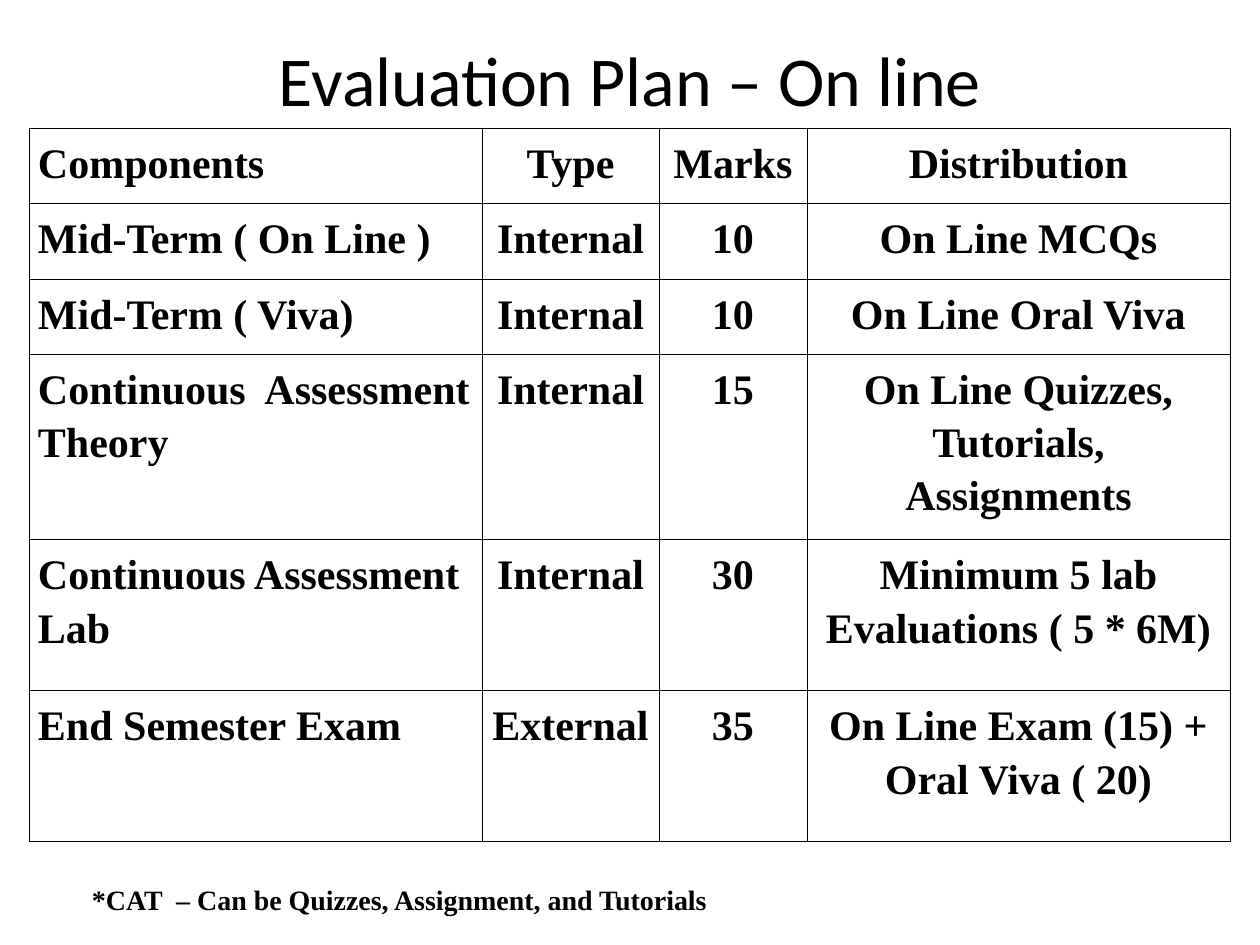
from dataclasses import dataclass

from lxml.etree import SubElement
from pptx import Presentation
from pptx.dml.color import RGBColor
from pptx.enum.text import MSO_ANCHOR, MSO_AUTO_SIZE, PP_ALIGN
from pptx.oxml.ns import qn
from pptx.util import Emu, Pt

SCALE = 914400 / 126  # EMU per px
BLACK = "000000"
SERIF = "Times New Roman"
BORDER = Pt(0.45)


@dataclass
class Label:
    text: str
    box: tuple[int, int, int, int]
    font: dict
    align: PP_ALIGN
    margins: tuple[int, int, int, int]
    auto_size: MSO_AUTO_SIZE


@dataclass
class Component:
    name: str
    kind: str
    marks: str
    distribution: str
    height: int


LABELS = [
    Label("Evaluation Plan – On line", (63, 38, 1134, 81),
          {"name": "Calibri", "size": Pt(40), "bold": False},
          PP_ALIGN.CENTER, (0, 0, 0, 0), MSO_AUTO_SIZE.NONE),
    Label("*CAT  – Can be Quizzes, Assignment, and Tutorials", (79, 876, 728, 47),
          {"name": SERIF, "size": Pt(16), "bold": True},
          PP_ALIGN.LEFT, (13, 6, 13, 6), MSO_AUTO_SIZE.SHAPE_TO_FIT_TEXT),
]

COLUMNS = [453, 177, 148, 423]
COMPONENTS = [
    Component("Components", "Type", "Marks", "Distribution", 75),
    Component("Mid-Term ( On Line )", "Internal", "10", "On Line MCQs", 76),
    Component("Mid-Term ( Viva)", "Internal", "10", "On Line Oral Viva", 75),
    Component("Continuous  Assessment Theory", "Internal", "15",
              "On Line Quizzes, Tutorials, Assignments", 174),
    Component("Continuous Assessment Lab", "Internal", "30",
              "Minimum 5 lab Evaluations ( 5 * 6M)", 151),
    Component("End Semester Exam", "External", "35",
              "On Line Exam (15) + Oral Viva ( 20)", 151),
]
CELL_FONT = {"name": SERIF, "size": Pt(24), "bold": True}
CELL_MARGINS = (9, 6, 9, 6)


def px(n: int) -> Emu:
    return Emu(round(n * SCALE))


def color(hex_code: str) -> RGBColor:
    return RGBColor.from_string(hex_code)


def apply(target, values: dict) -> None:
    for name, value in values.items():
        setattr(target, name, value)


def set_margins(target, margins: tuple) -> None:
    sides = ("margin_left", "margin_top", "margin_right", "margin_bottom")
    apply(target, dict(zip(sides, map(px, margins))))


def write(tf, text: str, font: dict, paragraph: dict) -> None:
    p = tf.paragraphs[0]
    apply(p, paragraph)
    r = p.add_run()
    r.text = text
    apply(r.font, font)
    r.font.color.rgb = color(BLACK)


def add_label(s, label: Label) -> None:
    tf = s.shapes.add_textbox(*map(px, label.box)).text_frame
    apply(tf, {"word_wrap": True, "auto_size": label.auto_size,
               "vertical_anchor": MSO_ANCHOR.MIDDLE})
    set_margins(tf, label.margins)
    write(tf, label.text, label.font, {"alignment": label.align})


def add_borders(cell) -> None:
    tc_pr = cell._tc.get_or_add_tcPr()
    for i, side in enumerate(("lnL", "lnR", "lnT", "lnB")):
        ln = SubElement(tc_pr, qn(f"a:{side}"), w=str(int(BORDER)))
        fill = SubElement(ln, qn("a:solidFill"))
        SubElement(fill, qn("a:srgbClr"), val=BLACK)
        tc_pr.insert(i, ln)  # borders come before the fill


def add_plan(s, left: int, top: int) -> None:
    heights = [c.height for c in COMPONENTS]
    table = s.shapes.add_table(
        len(COMPONENTS), len(COLUMNS),
        px(left), px(top), px(sum(COLUMNS)), px(sum(heights))).table
    apply(table, {"first_row": False, "horz_banding": False})
    for column, width in zip(table.columns, COLUMNS):
        column.width = px(width)
    for row, c in zip(table.rows, COMPONENTS):
        row.height = px(c.height)
        texts = (c.name, c.kind, c.marks, c.distribution)
        for i, (cell, text) in enumerate(zip(row.cells, texts)):
            cell.fill.background()
            set_margins(cell, CELL_MARGINS)
            align = PP_ALIGN.CENTER if i else PP_ALIGN.LEFT
            write(cell.text_frame, text, CELL_FONT,
                  {"alignment": align, "line_spacing": 1.15, "space_after": Pt(10)})
            add_borders(cell)


def main() -> None:
    prs = Presentation()
    apply(prs, {"slide_width": px(1260), "slide_height": px(945)})
    s = prs.slides.add_slide(prs.slide_layouts[6])
    # Title and footnote
    for label in LABELS:
        add_label(s, label)
    # Evaluation table
    add_plan(s, 29, 128)
    prs.save("out.pptx")


if __name__ == "__main__":
    main()
